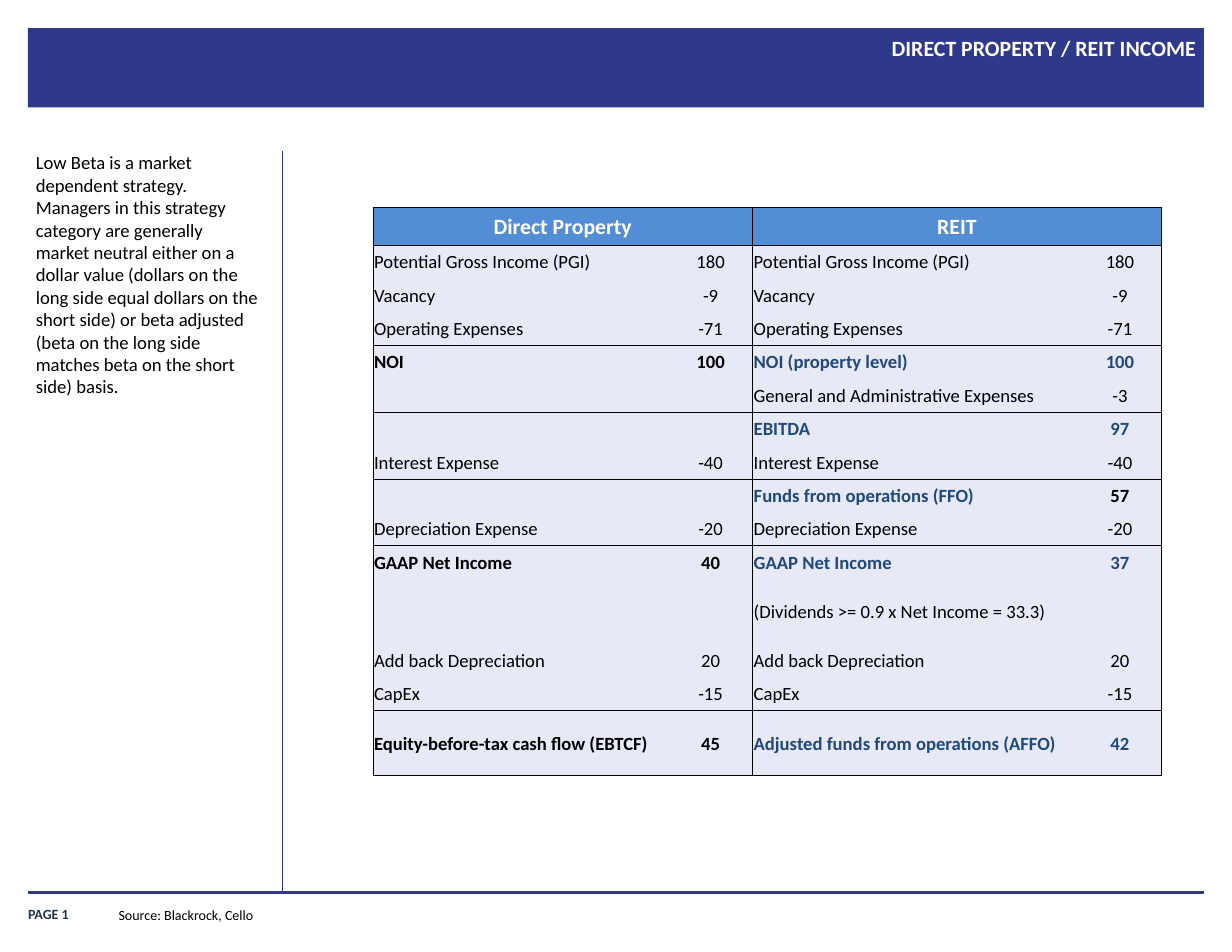
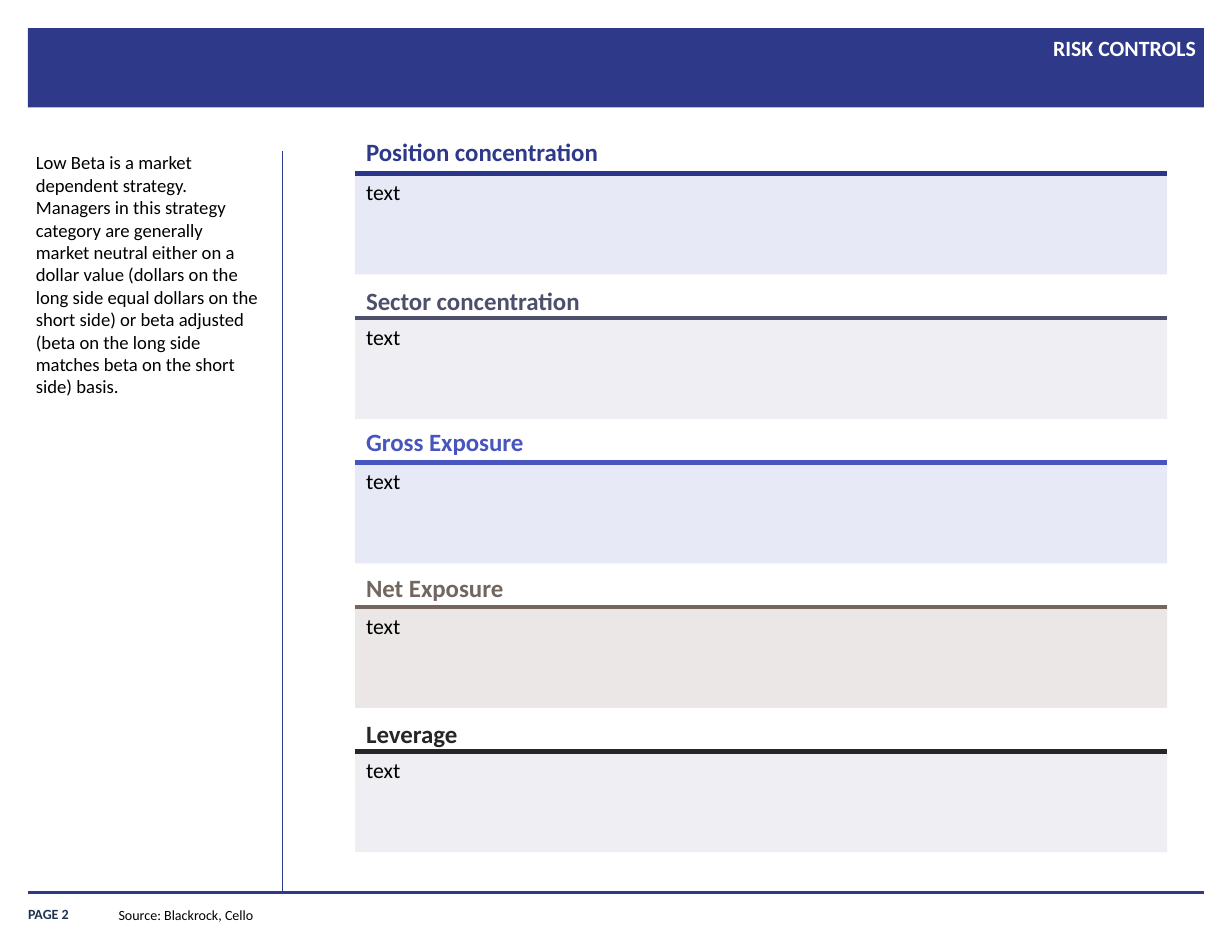
from dataclasses import dataclass

from lxml.etree import SubElement
from pptx import Presentation
from pptx.dml.color import RGBColor
from pptx.enum.shapes import MSO_CONNECTOR, MSO_SHAPE
from pptx.enum.text import MSO_ANCHOR as ANCHOR, PP_ALIGN as ALIGN
from pptx.oxml.ns import qn
from pptx.util import Pt

PX = 9144  # 100 px to the inch


@dataclass(frozen=True)
class Theme:
    font: str = "Calibri"
    navy: str = "2E398A"
    page: str = "203353"
    white: str = "FFFFFF"
    black: str = "000000"
    header: str = "538DD5"
    accent: str = "1F497D"
    pale_blue: str = "E7E9F7"
    pale_grey: str = "EFEFF3"
    pale_taupe: str = "EAE7E6"
    heading: int = 16
    title: int = 14
    body: int = 12
    footer: int = 9


THEME = Theme()


def write(frame, text, size=THEME.body, color=THEME.black, bold=False, align=ALIGN.LEFT,
          anchor=ANCHOR.TOP, insets=(10, 5, 10, 5), wrap=True, spacing=None):
    frame.word_wrap = wrap
    frame.vertical_anchor = anchor
    frame.margin_left, frame.margin_top, frame.margin_right, frame.margin_bottom = [
        n * PX for n in insets]
    paragraph = frame.paragraphs[0]
    paragraph.alignment = align
    paragraph.line_spacing = spacing
    run = paragraph.add_run()
    run.text = text
    run.font.name, run.font.size, run.font.bold = THEME.font, Pt(size), bold
    run.font.color.rgb = RGBColor.from_string(color)


def draw_rule(slide, start, end, color, width):
    ends = [n * PX for n in (*start, *end)]
    rule = slide.shapes.add_connector(MSO_CONNECTOR.STRAIGHT, *ends)
    rule.line.color.rgb = RGBColor.from_string(color)
    rule.line.width = Pt(width)
    SubElement(rule._element.spPr, qn("a:effectLst"))


STRATEGY = (
    "Low Beta is a market dependent strategy. Managers in this strategy category are "
    "generally market neutral either on a dollar value (dollars on the long side equal "
    "dollars on the short side) or beta adjusted (beta on the long side matches beta on "
    "the short side) basis.")
FLUSH = (0, 0, 0, 0)

prs = Presentation()
prs.slide_width, prs.slide_height = 1100 * PX, 850 * PX

# Shared frame: band, title, side note, rules and footer
slides = []
for number, title in enumerate(["DIRECT PROPERTY / REIT INCOME", "RISK CONTROLS"], 1):
    slide = prs.slides.add_slide(prs.slide_layouts[6])
    slides.append(slide)
    band = slide.shapes.add_shape(MSO_SHAPE.RECTANGLE, *[n * PX for n in (25, 25, 1050, 71)])
    band.shadow.inherit = False
    band.fill.solid()
    band.fill.fore_color.rgb = RGBColor.from_string(THEME.navy)
    band.line.fill.background()
    draw_rule(slide, (25, 797), (1075, 797), THEME.navy, 2.25)
    draw_rule(slide, (252, 135), (252, 798), THEME.navy, 0.5)
    for place, text, style in [
        ((25, 801, 91, 23), f"PAGE {number}",
         dict(size=THEME.footer, color=THEME.page, bold=True, anchor=ANCHOR.BOTTOM,
              insets=FLUSH)),
        ((317, 29, 751, 67), title,
         dict(size=THEME.title, color=THEME.white, bold=True, align=ALIGN.RIGHT,
              insets=FLUSH, spacing=1.1)),
        ((32, 135, 201, 648), STRATEGY, dict(insets=FLUSH)),
        ((96, 804, 142, 25), "Source: Blackrock, Cello",
         dict(size=THEME.footer, wrap=False)),
    ]:
        write(slide.shapes.add_textbox(*[n * PX for n in place]).text_frame, text, **style)

income_slide, risk_slide = slides

# Income statement: direct property beside REIT
INCOME = [
    ("Direct Property", "", "REIT", ""),
    ("Potential Gross Income (PGI)", "180", "Potential Gross Income (PGI)", "180"),
    ("Vacancy", "-9", "Vacancy", "-9"),
    ("Operating Expenses", "-71", "Operating Expenses", "-71"),
    ("NOI", "100", "NOI (property level)", "100"),
    ("", "", "General and Administrative Expenses", "-3"),
    ("", "", "EBITDA", "97"),
    ("Interest Expense", "-40", "Interest Expense", "-40"),
    ("", "", "Funds from operations (FFO)", "57"),
    ("Depreciation Expense", "-20", "Depreciation Expense", "-20"),
    ("GAAP Net Income", "40", "GAAP Net Income", "37"),
    ("", "", "(Dividends >= 0.9 x Net Income = 33.3)", ""),
    ("Add back Depreciation", "20", "Add back Depreciation", "20"),
    ("CapEx", "-15", "CapEx", "-15"),
    ("Equity-before-tax cash flow (EBTCF)", "45", "Adjusted funds from operations (AFFO)", "42"),
]
SUBTOTAL_ROWS = {4, 6, 8, 10, 14}
RULED_BELOW = {0, 3, 5, 7, 9, 13, 14}
FFO_VALUE = (8, 3)
LAST = len(INCOME) - 1
HEADER_HEIGHT, TALL_HEIGHT, TABLE_HEIGHT = 34, 58, 508
TALL_ROWS = {11, 14}
plain_height = (TABLE_HEIGHT - HEADER_HEIGHT - 2 * TALL_HEIGHT) * PX // (LAST - len(TALL_ROWS))

statement = income_slide.shapes.add_table(
    len(INCOME), 4, *[n * PX for n in (333, 185, 704, TABLE_HEIGHT)]).table
statement.first_row = statement.horz_banding = False
for column, width in zip(statement.columns, (264, 75, 291, 74)):
    column.width = width * PX

for r, entries in enumerate(INCOME):
    is_header = r == 0
    statement.rows[r].height = (HEADER_HEIGHT * PX if is_header else
                                TALL_HEIGHT * PX if r in TALL_ROWS else plain_height)
    for c, entry in enumerate(entries):
        cell = statement.cell(r, c)
        is_reit, is_value = c >= 2, c % 2 == 1
        outer = 1 if is_reit else 0.5
        below = outer if r == LAST else 0.5 if r in RULED_BELOW else 0
        above = outer if is_header else 0.5 if r - 1 in RULED_BELOW else 0
        left = 0 if is_value else outer
        right = 1 if is_value or is_header else 0
        props = cell._tc.get_or_add_tcPr()
        for side, width in zip("LRTB", (left, right, above, below)):
            border = SubElement(props, qn(f"a:ln{side}"), w=str(Pt(width)))
            if width:
                paint = SubElement(border, qn("a:solidFill"))
                SubElement(paint, qn("a:srgbClr"), val=THEME.black)
            else:
                SubElement(border, qn("a:noFill"))
        cell.fill.solid()
        cell.fill.fore_color.rgb = RGBColor.from_string(
            THEME.header if is_header else THEME.pale_blue)
        cell.vertical_anchor = ANCHOR.MIDDLE
        cell.margin_left = cell.margin_top = cell.margin_right = PX
        cell.margin_bottom = 0
        if not entry:
            SubElement(cell.text_frame.paragraphs[0]._p, qn("a:endParaRPr"),
                       sz=str(THEME.body * 100))
            continue
        is_bold = is_header or r in SUBTOTAL_ROWS
        is_accent = is_bold and is_reit and (r, c) != FFO_VALUE
        write(cell.text_frame, entry, bold=is_bold,
              size=THEME.title if is_header else THEME.body,
              color=THEME.white if is_header else THEME.accent if is_accent else THEME.black,
              align=ALIGN.CENTER if is_header or is_value else ALIGN.LEFT,
              anchor=ANCHOR.MIDDLE, insets=(1, 1, 1, 0))

for c in (0, 2):
    statement.cell(0, c).merge(statement.cell(0, c + 1))

# Risk controls: five headed panels at an equal pitch
PANEL_LEFT, PANEL_TOP, PANEL_WIDTH, PANEL_HEIGHT, PITCH = 317, 155, 725, 90, 129
CONTROLS = [
    ("Position concentration", 117, THEME.navy, "2B3689", THEME.pale_blue),
    ("Sector concentration", 250, "4D4F6B", "4D4F6B", THEME.pale_grey),
    ("Gross Exposure", 376, "4855BE", "4855BE", THEME.pale_blue),
    ("Net Exposure", 506, "72665E", "72665E", THEME.pale_taupe),
    ("Leverage", 637, "262626", "262626", THEME.pale_grey),
]
for i, (control, heading_top, heading_color, rule_color, tint) in enumerate(CONTROLS):
    top = PANEL_TOP + i * PITCH
    panel = risk_slide.shapes.add_shape(
        MSO_SHAPE.RECTANGLE, *[n * PX for n in (PANEL_LEFT, top, PANEL_WIDTH, PANEL_HEIGHT)])
    panel.shadow.inherit = False
    panel.fill.solid()
    panel.fill.fore_color.rgb = RGBColor.from_string(tint)
    panel.line.fill.background()
    write(panel.text_frame, "text", size=THEME.title)
    draw_rule(risk_slide, (PANEL_LEFT, top), (PANEL_LEFT + PANEL_WIDTH, top), rule_color, 3)
    heading = risk_slide.shapes.add_textbox(
        *[n * PX for n in (PANEL_LEFT, heading_top, PANEL_WIDTH, 37)])
    write(heading.text_frame, control, size=THEME.heading, color=heading_color, bold=True)

prs.save("out.pptx")
